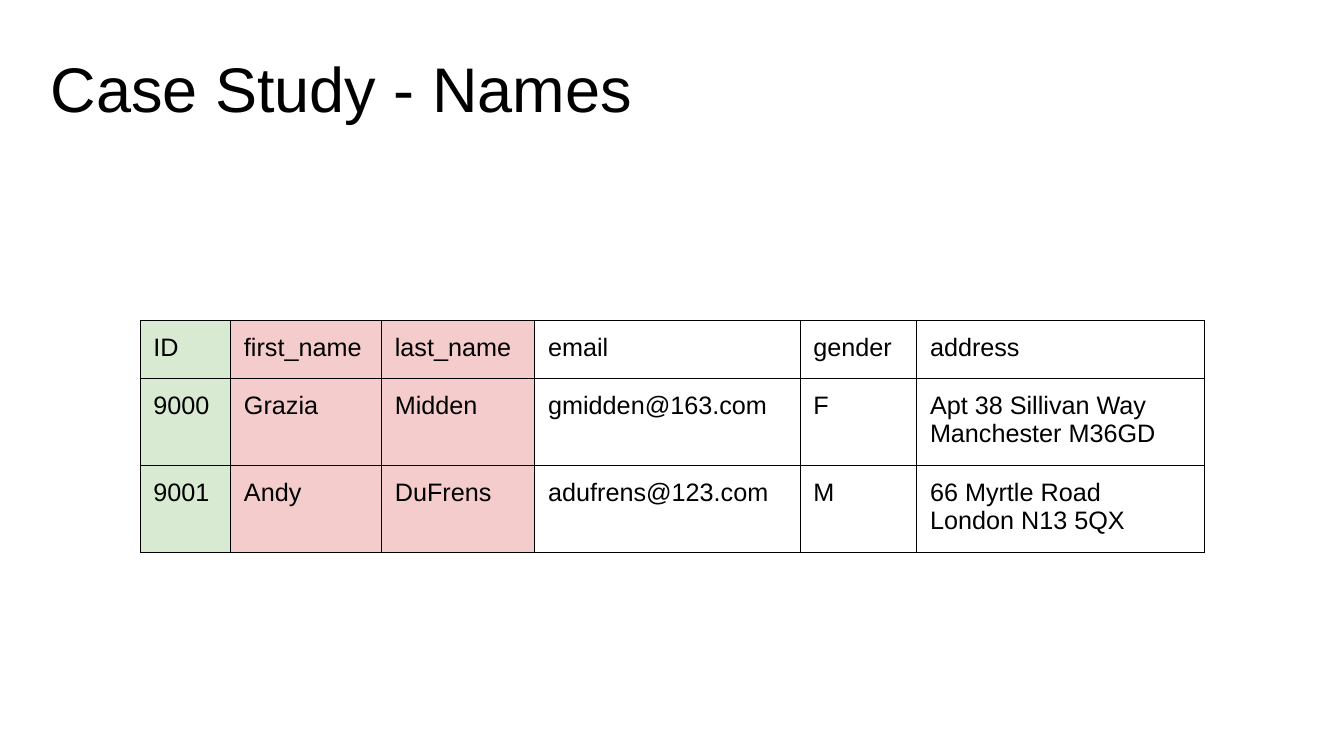
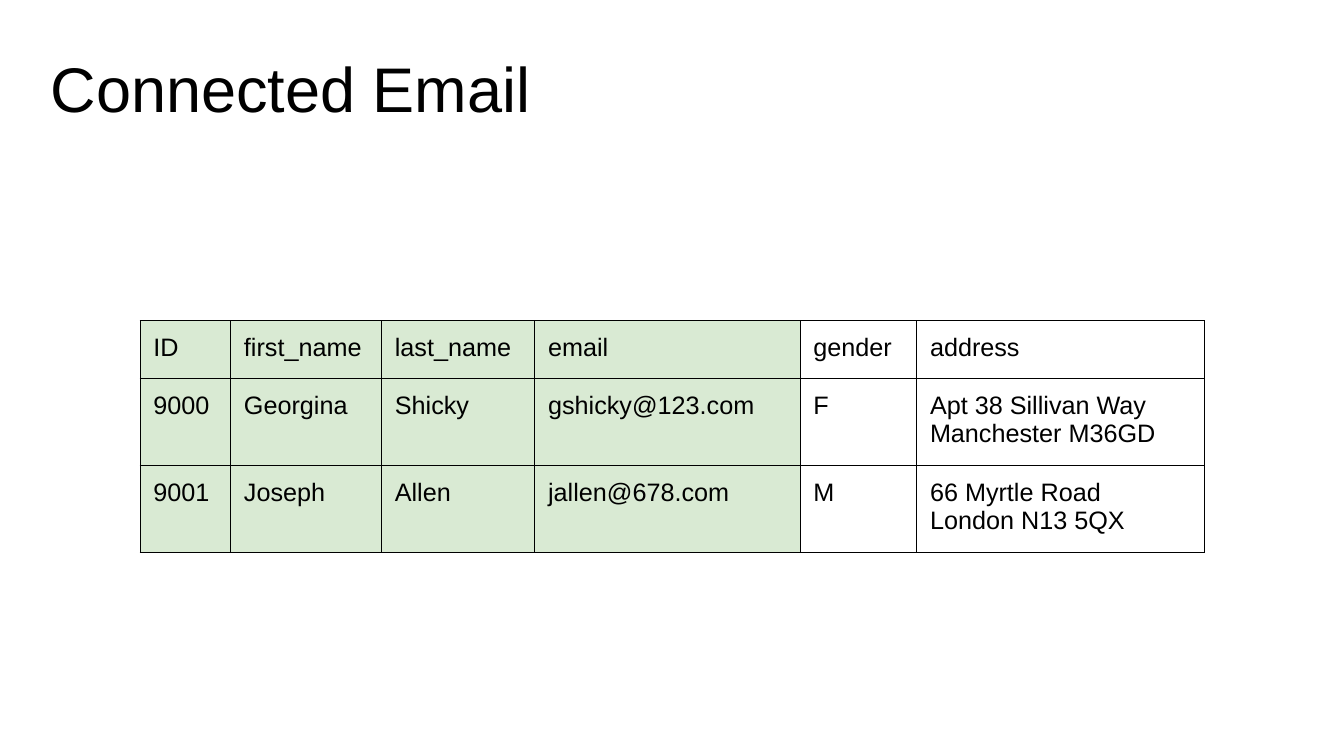
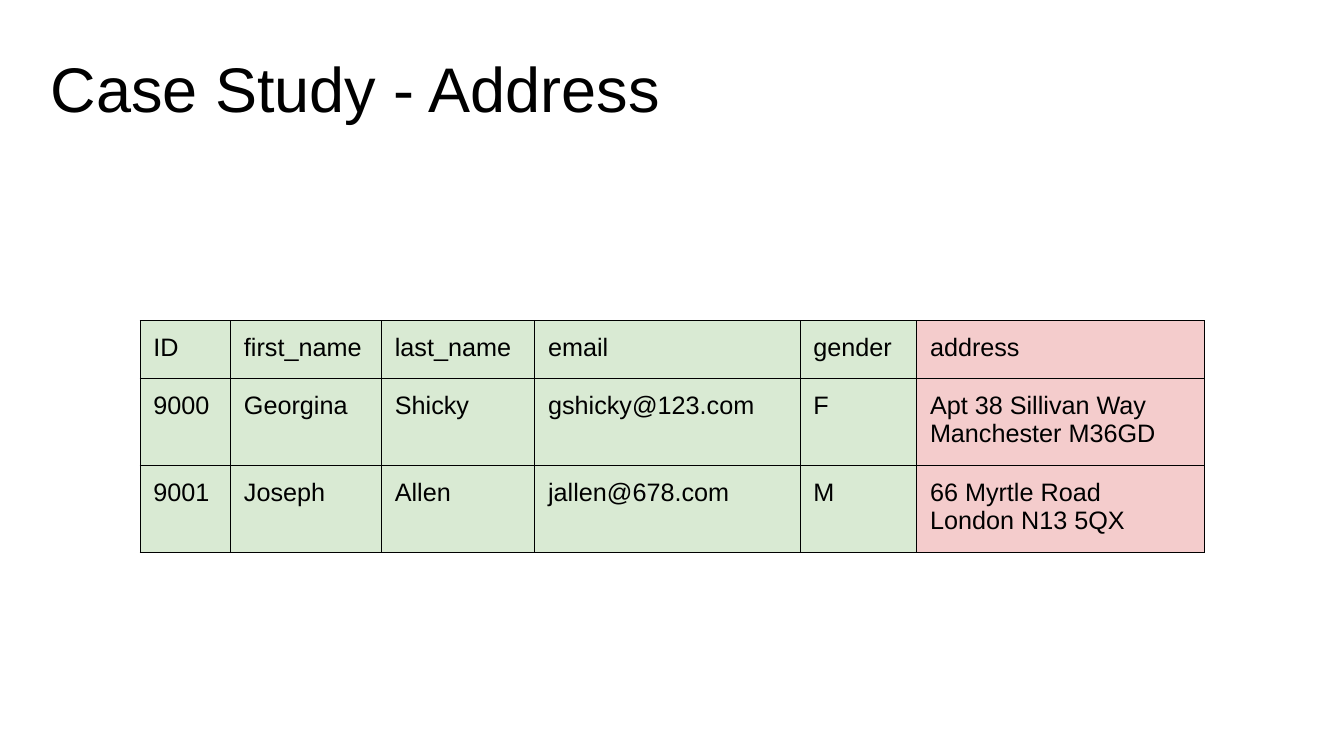
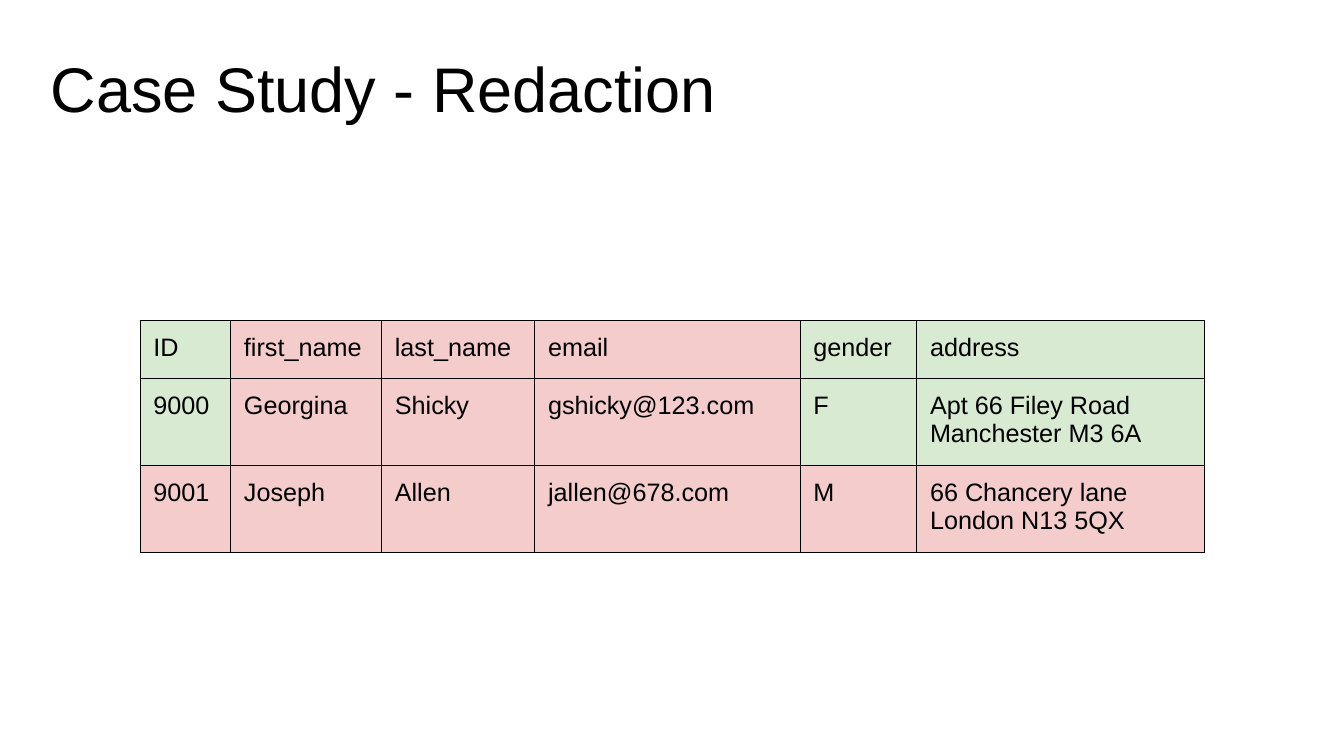
from pptx import Presentation
from pptx.dml.color import RGBColor
from pptx.enum.text import MSO_ANCHOR, MSO_AUTO_SIZE, PP_ALIGN
from pptx.oxml import parse_xml
from pptx.oxml.ns import nsdecls
from pptx.util import Pt

BLACK = RGBColor(0x00, 0x00, 0x00)
GREEN = RGBColor(0xD9, 0xEA, 0xD3)
RED = RGBColor(0xF4, 0xCC, 0xCC)
FILLS = {"G": GREEN, "R": RED}
TOP, NO_AUTOFIT, LEFT = MSO_ANCHOR.TOP, MSO_AUTO_SIZE.NONE, PP_ALIGN.LEFT
TITLE_ONLY = 5

HEADER = ("ID", "first_name", "last_name", "email", "gender", "address")
COLUMN_WIDTHS = (64.7, 107.8, 109.5, 189.5, 83.3, 205.4)
ROW_HEIGHTS = (41, 62.5, 62.5)
GENDERS = ("F", "M")
OLD_PEOPLE = (("Grazia", "Midden", "gmidden@163.com"),
              ("Andy", "DuFrens", "adufrens@123.com"))
NEW_PEOPLE = (("Georgina", "Shicky", "gshicky@123.com"),
              ("Joseph", "Allen", "jallen@678.com"))
OLD_ADDRESSES = ("Apt 38 Sillivan Way Manchester M36GD",
                 "66 Myrtle Road London N13 5QX")
NEW_ADDRESSES = ("Apt 66 Filey Road Manchester M3 6A",
                 "66 Chancery lane London N13 5QX")

SLIDES = (
    ("Case Study - Names", OLD_PEOPLE, OLD_ADDRESSES, ("GRR---",) * 3),
    ("Connected Email", NEW_PEOPLE, OLD_ADDRESSES, ("GGGG--",) * 3),
    ("Case Study - Address", NEW_PEOPLE, OLD_ADDRESSES, ("GGGGGR",) * 3),
    ("Case Study - Redaction", NEW_PEOPLE, NEW_ADDRESSES,
     ("GRRRGG", "GRRRGG", "RRRRRR")),
)


def write(frame, text, size=18, color=BLACK, font="Arial", align=LEFT):
    """Write one formatted paragraph into a text frame."""
    para = frame.paragraphs[0]
    para.alignment = align
    span = para.add_run()
    span.text = text
    span.font.size = Pt(size)
    span.font.name = font
    span.font.color.rgb = color


class Page:
    """Hold the shared style and the current slide."""

    inset = 9.6
    title_top_inset = 14.4
    border = 0.75

    def __init__(self, deck):
        """Add a slide with a title to the deck."""
        self.slide = deck.slides.add_slide(deck.slide_layouts[TITLE_ONLY])

    def title(self, text):
        """Place and fill the title."""
        box = self.slide.shapes.title
        box.left, box.top, box.width, box.height = Pt(26.6), Pt(20.9), Pt(864), Pt(90)
        frame = box.text_frame
        frame.auto_size = NO_AUTOFIT
        frame.word_wrap = True
        frame.vertical_anchor = TOP
        frame.margin_left = frame.margin_right = frame.margin_bottom = Pt(self.inset)
        frame.margin_top = Pt(self.title_top_inset)
        write(frame, text, size=45)

    def table(self, rows, fills):
        """Add the records table with one fill letter per cell."""
        table = self.slide.shapes.add_table(
            len(rows), len(HEADER), Pt(100), Pt(229),
            Pt(sum(COLUMN_WIDTHS)), Pt(sum(ROW_HEIGHTS))).table
        table.first_row = table.horz_banding = False
        for column, width in zip(table.columns, COLUMN_WIDTHS):
            column.width = Pt(width)
        for row, height, texts, letters in zip(table.rows, ROW_HEIGHTS, rows, fills):
            row.height = Pt(height)
            for cell, text, letter in zip(row.cells, texts, letters):
                self.cell(cell, text, FILLS.get(letter))

    def cell(self, cell, text, color):
        """Format and fill one table cell."""
        cell.margin_left = cell.margin_right = Pt(self.inset)
        cell.margin_top = cell.margin_bottom = Pt(self.inset)
        cell.vertical_anchor = TOP
        properties = cell._tc.get_or_add_tcPr()
        for side in "LRTB":
            properties.append(parse_xml(
                f'<a:ln{side} {nsdecls("a")} w="{Pt(self.border)}"><a:solidFill>'
                f'<a:srgbClr val="{BLACK}"/></a:solidFill></a:ln{side}>'))
        if color is None:
            cell.fill.background()
        else:
            cell.fill.solid()
            cell.fill.fore_color.rgb = color
        write(cell.text_frame, text)


def main():
    """Build and save the deck."""
    deck = Presentation()
    deck.slide_width, deck.slide_height = Pt(960), Pt(540)
    for title, people, addresses, fills in SLIDES:
        records = [(str(number), *person, gender, address)
                   for number, (person, gender, address)
                   in enumerate(zip(people, GENDERS, addresses), 9000)]
        page = Page(deck)
        page.title(title)
        page.table([HEADER, *records], fills)
    deck.save("out.pptx")


if __name__ == "__main__":
    main()
